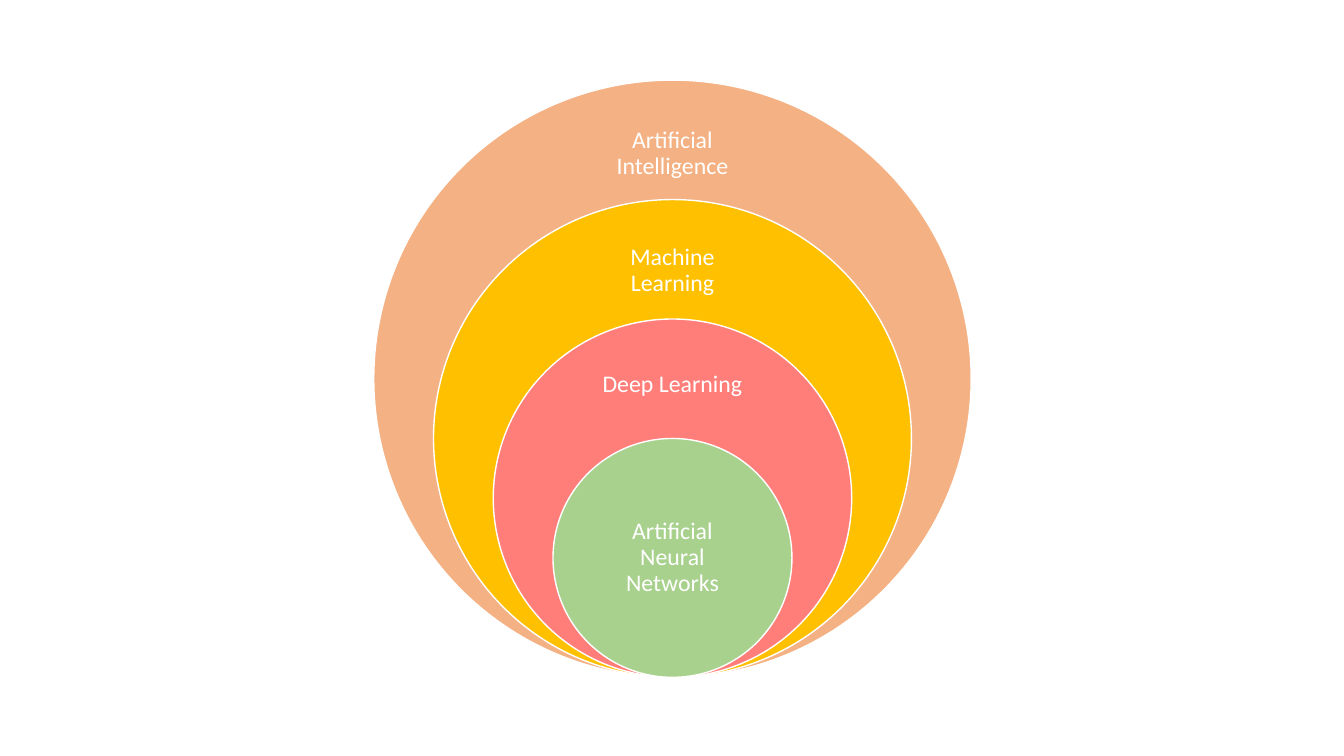
from pptx import Presentation
from pptx.dml.color import RGBColor
from pptx.enum.shapes import MSO_SHAPE
from pptx.enum.text import MSO_ANCHOR, PP_ALIGN
from pptx.util import Inches, Pt

OVAL = MSO_SHAPE.OVAL
MIDDLE = MSO_ANCHOR.MIDDLE
CENTER = PP_ALIGN.CENTER

COLORS = {
    "white": "FFFFFF",
    "orange": "F4B183",
    "gold": "FFC000",
    "coral": "FF7E79",
    "green": "A9D18E",
}

# Nested circles share a center line and a bottom point
AXIS = 6.67
BASE = 6.72
UNIT = 2.37

# Circle size in units, color, label, label top and height
RINGS = [
    (2.5, "orange", "Artificial Intelligence", 1.08, 0.89),
    (2, "gold", "Machine Learning", 2.26, 0.85),
    (1.5, "coral", "Deep Learning", 3.42, 0.8),
    (1, "green", "Artificial Neural Networks", 4.94, 1.19),
]


class Painter:
    font = "Calibri"
    size = Pt(17)
    inset = Inches(0.12)

    def __init__(self, slide):
        self.slide = slide

    def color(self, name):
        return RGBColor.from_string(COLORS[name])

    def circle(self, width, fill):
        shape = self.slide.shapes.add_shape(
            OVAL, Inches(AXIS - width / 2), Inches(BASE - width),
            Inches(width), Inches(width))
        shape.shadow.inherit = False
        shape.fill.solid()
        shape.fill.fore_color.rgb = self.color(fill)
        shape.line.color.rgb = self.color("white")
        shape.line.width = Pt(1)

    def label(self, text, top, height, width=1.66):
        box = self.slide.shapes.add_textbox(
            Inches(AXIS - width / 2), Inches(top),
            Inches(width), Inches(height))
        frame = box.text_frame
        frame.word_wrap = True
        frame.vertical_anchor = MIDDLE
        frame.margin_left = frame.margin_right = self.inset
        frame.margin_top = frame.margin_bottom = self.inset
        para = frame.paragraphs[0]
        para.text = text
        para.alignment = CENTER
        para.line_spacing = 0.9
        para.font.name = self.font
        para.font.size = self.size
        para.font.color.rgb = self.color("white")


def main():
    deck = Presentation()
    deck.slide_width = Inches(13.33)
    deck.slide_height = Inches(7.5)
    painter = Painter(deck.slides.add_slide(deck.slide_layouts[6]))

    # Largest circle first, each with its label
    for units, fill, text, top, height in RINGS:
        painter.circle(units * UNIT, fill)
        painter.label(text, top, height)

    deck.save("out.pptx")


if __name__ == "__main__":
    main()
